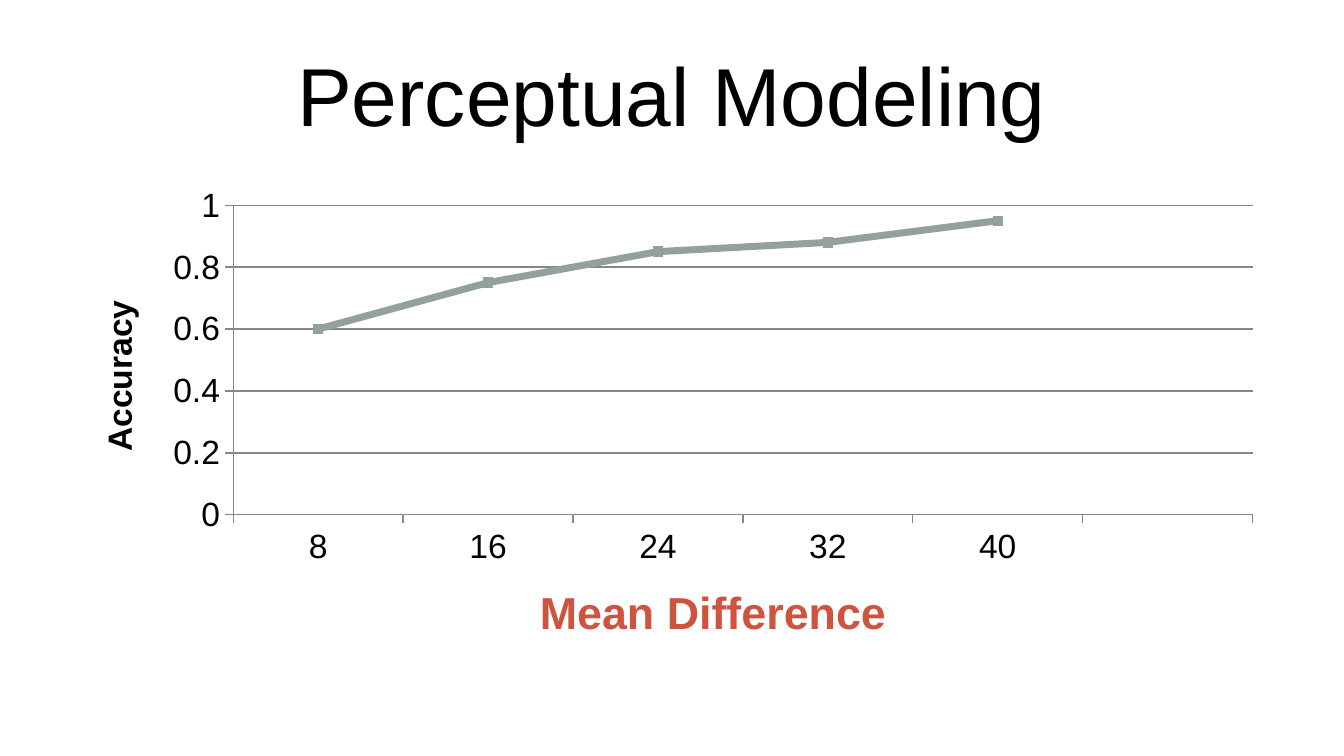
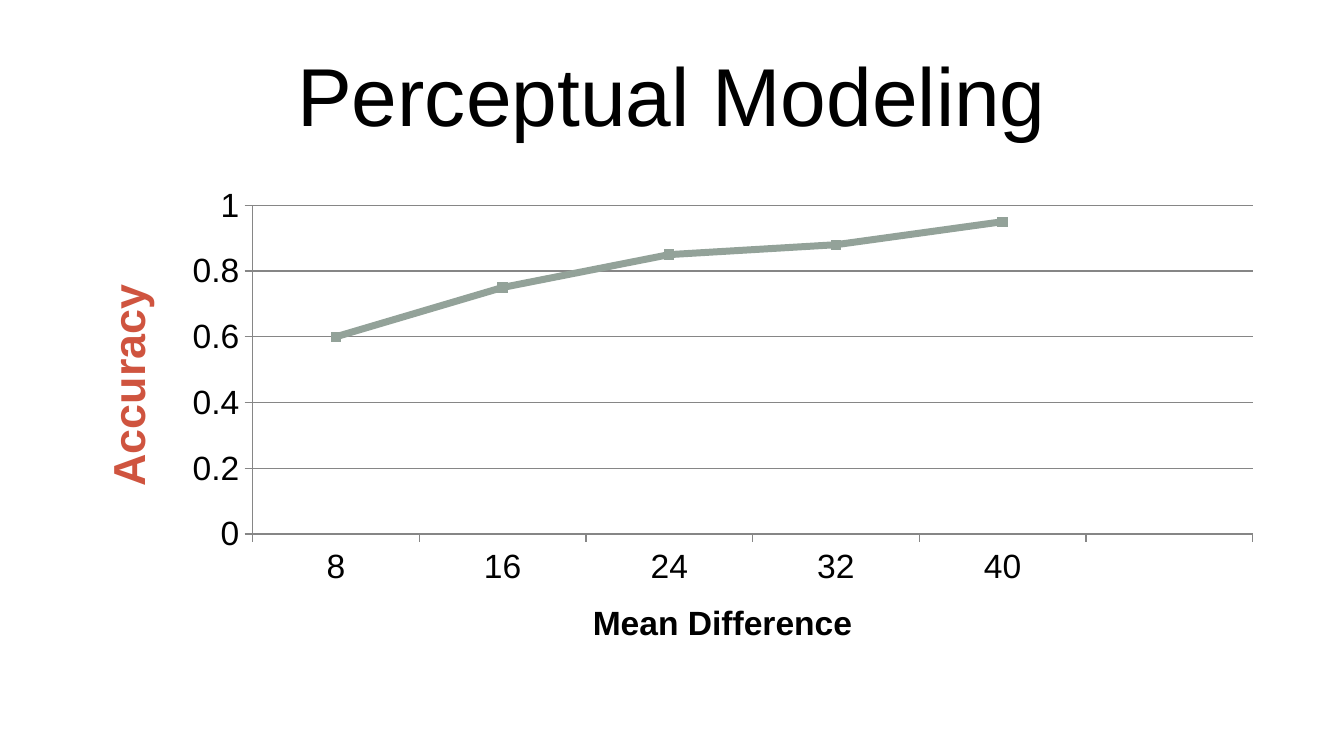
"""Build two slides that highlight each axis of an accuracy chart in turn."""
import pptx
import pptx.chart.data
import pptx.dml.color
import pptx.enum.chart
import pptx.enum.text
import pptx.util

FONT = "Arial"
INK, ACCENT, SERIES, RULE = "000000", "CF543F", "93A299", "868686"
ACCURACY = {"8": 0.6, "16": 0.75, "24": 0.85, "32": 0.88, "40": 0.95, "": None}


def rgb(value):
    """Return a colour from its hex string."""
    return pptx.dml.color.RGBColor.from_string(value)


def style(font, size, color, bold=False):
    """Apply the deck's typeface with a size, colour and weight."""
    formats = {"name": FONT, "size": pptx.util.Pt(size), "bold": bold}
    for key, value in formats.items():
        setattr(font, key, value)
    font.color.rgb = rgb(color)


deck = pptx.Presentation()
deck.slide_width = pptx.util.Inches(10)
deck.slide_height = pptx.util.Inches(5.625)
width, height = deck.slide_width, deck.slide_height
left, content_width = int(width * 0.05), int(width * 0.9)
title_top, title_height = int(height * 0.04), int(height / 6)
chart_top, chart_height = int(height * 7 / 30), int(height * 0.66)

for highlighted in ("Mean Difference", "Accuracy"):
    slide = deck.slides.add_slide(deck.slide_layouts[5])

    heading = slide.shapes.title
    place = {"left": left, "top": title_top, "width": content_width, "height": title_height}
    for key, value in place.items():
        setattr(heading, key, value)
    heading.text_frame.text = "Perceptual Modeling"
    heading.text_frame.vertical_anchor = pptx.enum.text.MSO_ANCHOR.MIDDLE
    heading_line = heading.text_frame.paragraphs[0]
    heading_line.alignment = pptx.enum.text.PP_ALIGN.CENTER
    style(heading_line.runs[0].font, 44, INK)

    results = pptx.chart.data.CategoryChartData()
    results.categories = list(ACCURACY)
    results.add_series("Series 1", list(ACCURACY.values()))
    chart = slide.shapes.add_chart(
        pptx.enum.chart.XL_CHART_TYPE.LINE_MARKERS,
        left, chart_top, content_width, chart_height, results,
    ).chart
    chart.has_legend = chart.has_title = False
    style(chart.font, 18, INK)
    chart.plots[0].vary_by_categories = False

    accuracy_line = chart.plots[0].series[0]
    accuracy_line.smooth = False
    accuracy_line.format.line.color.rgb = rgb(SERIES)
    accuracy_line.format.line.width = pptx.util.Pt(3.75)
    marker = accuracy_line.marker
    marker.style = pptx.enum.chart.XL_MARKER_STYLE.SQUARE
    marker.size = 5
    marker.format.fill.solid()
    marker.format.fill.fore_color.rgb = rgb(SERIES)
    marker.format.line.color.rgb = rgb(SERIES)

    axes = {"Mean Difference": chart.category_axis, "Accuracy": chart.value_axis}
    for label, axis in axes.items():
        axis.major_tick_mark = pptx.enum.chart.XL_TICK_MARK.OUTSIDE
        axis.minor_tick_mark = pptx.enum.chart.XL_TICK_MARK.NONE
        axis.format.line.color.rgb = rgb(RULE)
        axis.format.line.width = pptx.util.Pt(0.75)
        style(axis.tick_labels.font, 18, INK)
        caption = axis.axis_title.text_frame
        caption.text = label
        size, color = (24, ACCENT) if label == highlighted else (18, INK)
        style(caption.paragraphs[0].runs[0].font, size, color, True)

    scale = {"minimum_scale": 0, "maximum_scale": 1, "major_unit": 0.2, "has_major_gridlines": True}
    for key, value in scale.items():
        setattr(chart.value_axis, key, value)
    grid = chart.value_axis.major_gridlines.format.line
    grid.color.rgb = rgb(RULE)
    grid.width = pptx.util.Pt(0.75)
    for body in chart.value_axis.axis_title.text_frame._txBody.xpath("a:bodyPr"):
        body.set("rot", "-5400000")
        body.set("vert", "horz")

deck.save("out.pptx")
